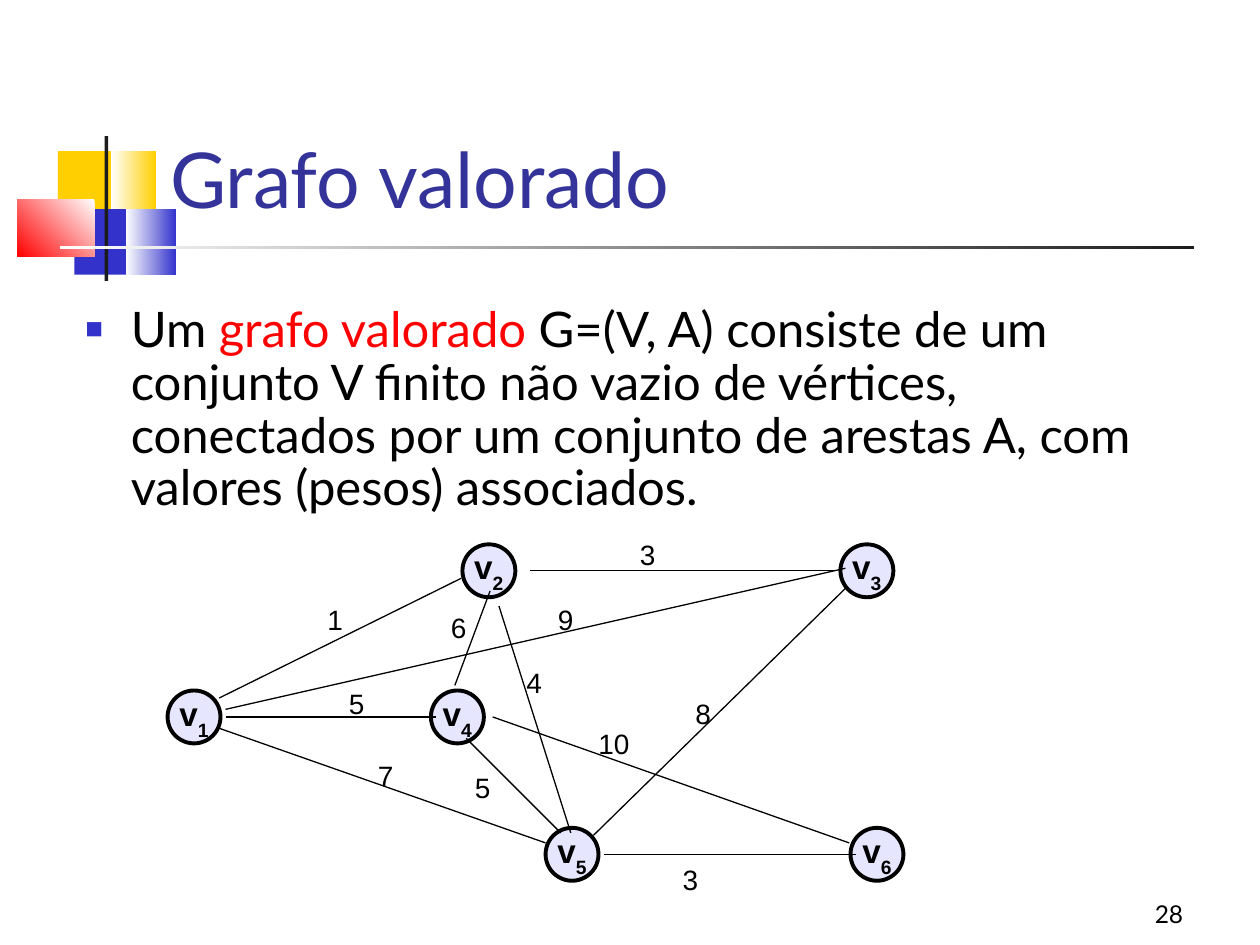
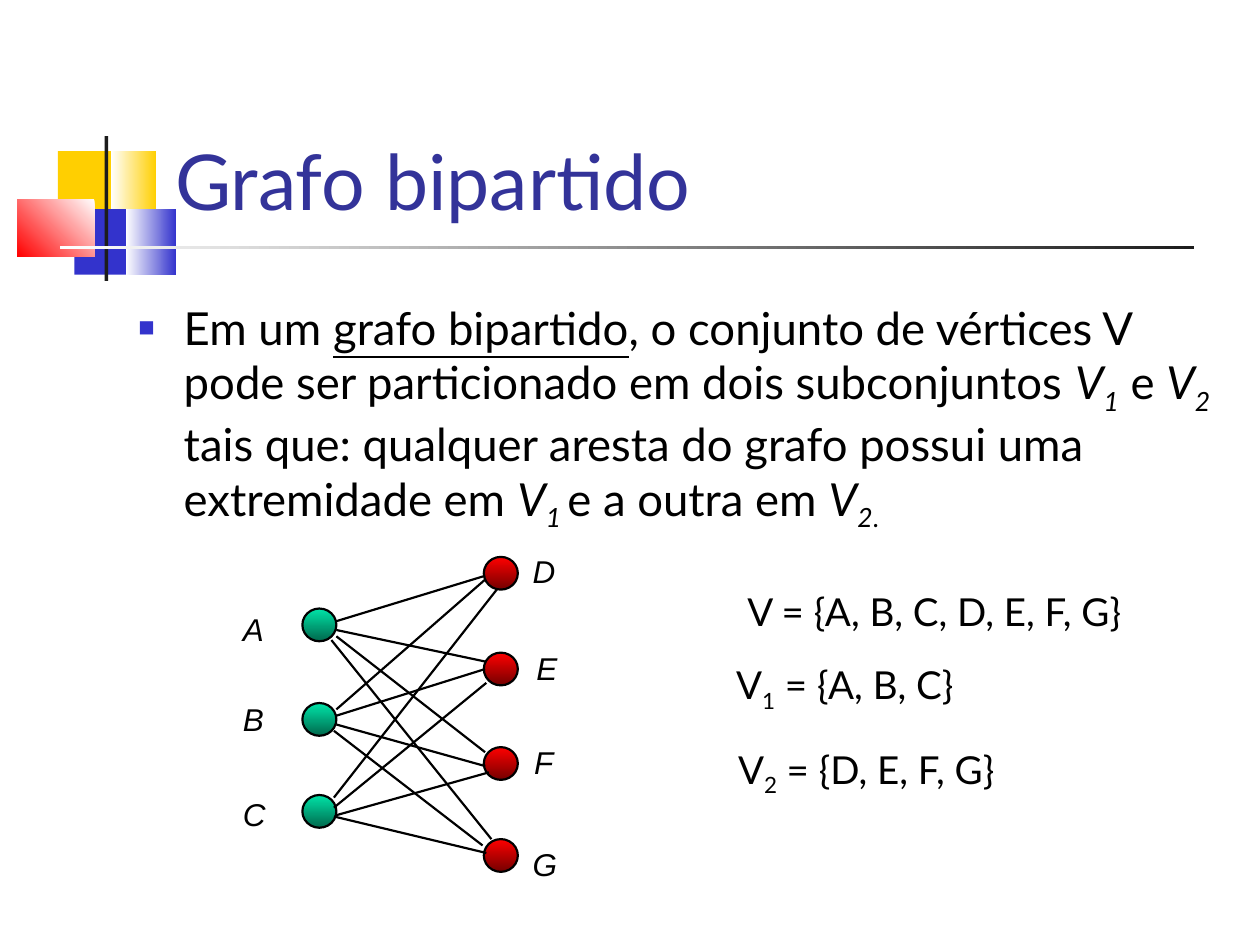
from dataclasses import dataclass

from lxml.etree import SubElement
from pptx import Presentation
from pptx.dml.color import RGBColor
from pptx.enum.shapes import MSO_CONNECTOR, MSO_SHAPE as Preset
from pptx.enum.text import MSO_ANCHOR as Anchor, MSO_AUTO_SIZE, PP_ALIGN as Align
from pptx.oxml.ns import qn
from pptx.util import Inches, Pt


@dataclass(frozen=True)
class Theme:
    body_font: str = "Lato"
    graph_font: str = "Arial"
    black: str = "000000"
    white: str = "FFFFFF"
    title: str = "333399"
    yellow: str = "FFCF01"
    blue: str = "3333CC"
    red: str = "FF0000"
    dark_red: str = "750000"
    green: str = "00E4A8"
    dark_green: str = "00694D"
    charcoal: str = "1C1C1C"
    lilac: str = "E6E6FF"
    title_size: float = 44
    formula_size: float = 22
    vertex_size: float = 19
    letter_size: float = 18
    weight_size: float = 16
    number_size: float = 14


theme = Theme()


def draw_shape(shapes, preset, box, colors, angle=0, line_width=0):
    """Fill with one colour, or with a gradient of two at a counter-clockwise angle."""
    shape = shapes.add_shape(preset, *map(Inches, box))
    shape.shadow.inherit = False
    if len(colors) == 1:
        shape.fill.solid()
        shape.fill.fore_color.rgb = RGBColor.from_string(colors[0])
    else:
        shape.fill.gradient()
        shape.fill.gradient_angle = angle
        for stop, color in zip(shape.fill.gradient_stops, colors):
            stop.color.rgb = RGBColor.from_string(color)
    if line_width:
        shape.line.width = Pt(line_width)
        shape.line.color.rgb = RGBColor.from_string(theme.black)
    else:
        shape.line.fill.background()
    return shape


def write(shape, runs, size, font=theme.body_font, color=theme.black,
          align=Align.LEFT, anchor=Anchor.TOP, wrap=True, drop=-25):
    """Write (text, style words) runs; drop is the subscript offset in percent."""
    frame = shape.text_frame
    frame.auto_size = MSO_AUTO_SIZE.NONE
    frame.word_wrap = wrap
    frame.vertical_anchor = anchor
    paragraph = frame.paragraphs[0]
    paragraph.alignment = align
    for text, style in runs:
        words = style.split()
        run = paragraph.add_run()
        run.text = text
        run.font.name = font
        run.font.size = Pt(size)
        run.font.bold = "bold" in words
        run.font.italic = "italic" in words
        run.font.underline = "underline" in words
        run.font.color.rgb = RGBColor.from_string(theme.red if "red" in words else color)
        if "sub" in words:
            run.font._element.set("baseline", str(drop * 1000))
    return paragraph


presentation = Presentation()
presentation.slide_width = Inches(10)
presentation.slide_height = Inches(7.5)
title_only = presentation.slide_layouts[5]
weighted_slide = presentation.slides.add_slide(title_only)
bipartite_slide = presentation.slides.add_slide(title_only)

# Title ornament, shared through the layout
ornament = [
    ((0.46, 1.2, 0.48, 0.52), [theme.yellow], 0),
    ((0.88, 1.2, 0.36, 0.52), [theme.yellow, theme.white], 180),
    ((0.59, 1.66, 0.46, 0.52), [theme.blue], 0),
    ((1, 1.66, 0.4, 0.52), [theme.blue, theme.white], 180),
    ((0.14, 1.58, 0.61, 0.46), [theme.white, theme.red], 225),
    ((0.83, 1.08, 0.03, 1.15), [theme.charcoal], 0),
    ((0.48, 1.95, 9, 0.03), [theme.charcoal, theme.white], 180),
]
for shape_id, (box, colors, angle) in enumerate(ornament, start=20):
    shape = draw_shape(weighted_slide.shapes, Preset.RECTANGLE, box, colors, angle)
    shape.element.nvSpPr.cNvPr.id = shape_id
    title_only.shapes.element.append(shape.element)

# Titles and definitions
weighted_text = [
    ("Um ", ""), ("grafo valorado", "red"),
    (" G=(V, A) consiste de um conjunto V finito não vazio de vértices, "
     "conectados por um conjunto de arestas A, com valores (pesos) associados.", ""),
]
bipartite_text = [
    ("Em um ", ""), ("grafo bipartido", "underline"),
    (", o conjunto de vértices V pode ser particionado em dois subconjuntos ", ""),
    ("V", "italic"), ("1", "italic sub"), (" e ", ""),
    ("V", "italic"), ("2", "italic sub"),
    (" tais que: qualquer aresta do grafo possui uma extremidade em ", ""),
    ("V", "italic"), ("1 ", "italic sub"), ("e a outra em ", ""),
    ("V", "italic"), ("2", "italic sub"), (".", "sub"),
]
pages = [
    (weighted_slide, "Grafo valorado", (1.25, 0.58, 8.52, 1.25),
     weighted_text, (0.58, 2.37, 8.96, 2.52), 28, 0.9),
    (bipartite_slide, "Grafo bipartido", (1.29, 1, 8.52, 0.84),
     bipartite_text, (1, 2.33, 8.75, 2.02), 26, 1.0),
]
for slide, heading, title_box, definition, body_box, body_size, spacing in pages:
    title = slide.shapes.title
    title.left, title.top, title.width, title.height = map(Inches, title_box)
    write(title, [(heading, "")], theme.title_size, color=theme.title, anchor=Anchor.BOTTOM)

    body = slide.shapes.add_textbox(*map(Inches, body_box))
    paragraph = write(body, definition, body_size)
    paragraph.line_spacing = spacing
    properties = paragraph._p.get_or_add_pPr()
    properties.set("marL", str(Inches(0.36)))
    properties.set("indent", str(Inches(-0.36)))
    bullet_color = SubElement(properties, qn("a:buClr"))
    SubElement(bullet_color, qn("a:srgbClr"), val=theme.blue)
    SubElement(properties, qn("a:buSzPct"), val="60000")
    SubElement(properties, qn("a:buFont"), typeface=theme.graph_font)
    SubElement(properties, qn("a:buChar"), char="■")

# Vertices of the weighted graph
weighted_graph = weighted_slide.shapes
vertices = {"1": (1.33, 5.48), "2": (3.67, 4.32), "4": (3.42, 5.48),
            "5": (4.33, 6.57), "3": (6.67, 4.32), "6": (6.75, 6.57)}
for index, (left, top) in vertices.items():
    vertex = draw_shape(weighted_graph, Preset.OVAL, (left, top, 0.42, 0.42),
                        [theme.lilac], line_width=2.25)
    write(vertex, [("v", "bold"), (index, "bold sub")], theme.vertex_size, theme.graph_font,
          align=Align.CENTER, anchor=Anchor.MIDDLE, wrap=False, drop=-33)

# Vertices of the bipartite graph, one column for each subset
bipartite_graph = bipartite_slide.shapes.add_group_shape().shapes
subsets = [
    (2.4, (4.83, 5.58, 6.31), [theme.green, theme.dark_green]),
    (3.84, (4.42, 5.18, 5.93, 6.66), [theme.red, theme.dark_red]),
]
for left, tops, colors in subsets:
    for top in tops:
        draw_shape(bipartite_graph, Preset.OVAL, (left, top, 0.27, 0.26),
                   colors, angle=270, line_width=1.25)

# Edges as x1, y1, x2, y2
weighted_edges = [
    (1.74, 5.54, 3.66, 4.59), (1.79, 5.63, 6.71, 4.51), (4.21, 4.53, 6.62, 4.53),
    (1.79, 5.69, 3.46, 5.69), (1.74, 5.78, 4.33, 6.69), (3.91, 5.69, 6.74, 6.69),
    (3.89, 4.69, 3.61, 5.44), (3.7, 5.86, 4.45, 6.61), (3.96, 4.81, 4.53, 6.61),
    (4.71, 6.63, 6.71, 4.67), (4.79, 6.78, 6.79, 6.78),
]
bipartite_edges = [
    (2.67, 4.93, 3.85, 4.57), (2.67, 5, 3.85, 5.25),
    (2.67, 5.05, 3.85, 5.97), (2.63, 5.08, 3.9, 6.66),
    (2.67, 5.63, 3.85, 4.6), (2.67, 5.68, 3.85, 5.31),
    (2.67, 5.75, 3.85, 6.08), (2.65, 5.8, 3.83, 6.71),
    (2.65, 6.33, 3.95, 4.67), (2.65, 6.41, 3.86, 5.42),
    (2.67, 6.47, 3.88, 6.13), (2.65, 6.48, 3.86, 6.77),
]
for graph, edges, width in [(weighted_graph, weighted_edges, 0.75),
                            (bipartite_graph, bipartite_edges, 1.25)]:
    for ends in edges:
        edge = graph.add_connector(MSO_CONNECTOR.STRAIGHT, *map(Inches, ends))
        edge.line.width = Pt(width)
        edge.line.color.rgb = RGBColor.from_string(theme.black)
        SubElement(edge._element.spPr, qn("a:effectLst"))

# Edge weights and vertex letters
weights = [
    ("1", 2.5, 4.73), ("9", 4.33, 4.73), ("5", 2.67, 5.4), ("7", 2.9, 5.97),
    ("6", 3.48, 4.8), ("3", 4.98, 4.22), ("8", 5.42, 5.48), ("10", 4.65, 5.72),
    ("3", 5.32, 6.8), ("5", 3.67, 6.07), ("4", 4.08, 5.23),
]
letters = [
    ("A", 1.83, 4.79), ("B", 1.83, 5.51), ("C", 1.83, 6.26), ("D", 4.13, 4.33),
    ("E", 4.16, 5.1), ("F", 4.14, 5.85), ("G", 4.13, 6.66),
]
for graph, labels, size, style, height in [
    (weighted_graph, weights, theme.weight_size, "", 0.37),
    (bipartite_graph, letters, theme.letter_size, "italic", 0.4),
]:
    for text, left, top in labels:
        width = 0.44 if len(text) > 1 else height - 0.03
        label = graph.add_textbox(*map(Inches, (left, top, width, height)))
        write(label, [(text, style)], size, theme.graph_font, wrap=False)

# Sets of the bipartite graph
formulas = [
    ((5.58, 4.62, 3.67, 0.47), [("V = {A, B, C, D, E, F, G}", "")]),
    ((5.08, 5.2, 3.25, 0.52), [("V", ""), ("1", "sub"), (" = {A, B, C}", "")]),
    ((5.25, 5.87, 3.25, 0.52), [("V", ""), ("2", "sub"), (" = {D, E, F, G}", "")]),
]
for box, runs in formulas:
    formula = bipartite_slide.shapes.add_textbox(*map(Inches, box))
    write(formula, runs, theme.formula_size, align=Align.CENTER)

slide_number = weighted_slide.shapes.add_textbox(*map(Inches, (7.42, 6.92, 2.07, 0.5)))
write(slide_number, [("28", "")], theme.number_size, align=Align.RIGHT, anchor=Anchor.BOTTOM)

presentation.save("out.pptx")
